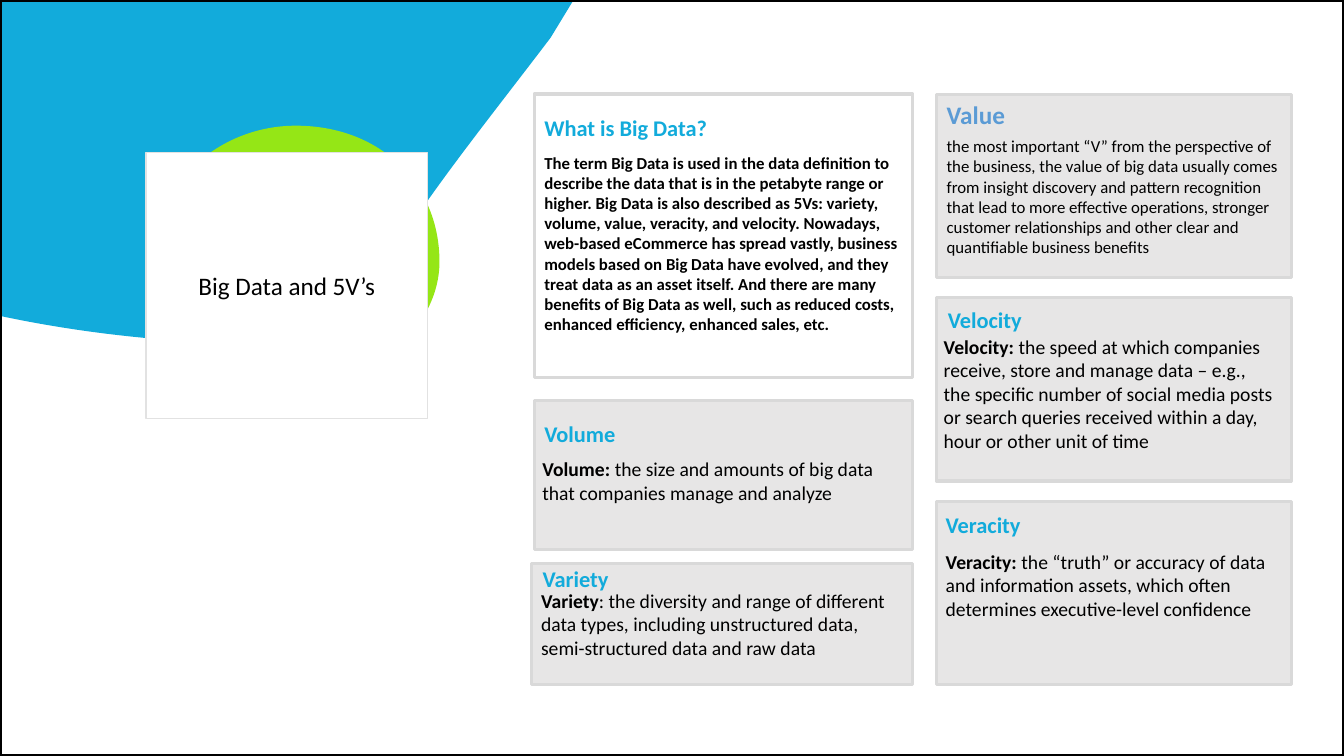
from copy import deepcopy
from dataclasses import dataclass

from lxml import etree
from pptx import Presentation
from pptx.dml.color import RGBColor
from pptx.enum import shapes, text
from pptx.oxml import ns
from pptx.util import Pt


@dataclass(frozen=True)
class Theme:
    font: str = "Calibri"
    blue: str = "12ABDB"
    soft_blue: str = "5B9BD5"
    lime: str = "95E616"
    white: str = "FFFFFF"
    black: str = "000000"
    grey: str = "E7E6E6"
    card_line: str = "D9D9D9"
    circle_line: str = "E2E2E2"
    title: float = 18
    heading: float = 16
    body: float = 14
    small: float = 12


THEME = Theme()


@dataclass(frozen=True)
class Card:
    box: tuple             # left, top, width, height
    heading: str
    heading_place: tuple   # x and y within the card, width
    runs: tuple            # (wording, bold)
    body_place: tuple = None   # x and y within the card, width, height; None: in the panel
    fill: str = THEME.grey
    body_size: float = THEME.body
    heading_size: float = THEME.heading
    heading_color: str = THEME.blue


# Card grid: two columns
LEFT, RIGHT = 381.5, 668.9
WIDE, NARROW = 270.4, 253.4
TOP, RIGHT_HEIGHT, RIGHT_STEP = 67.2, 131, 145.4
LEFT_TEXT, RIGHT_TEXT, RIGHT_HEADING = 253.4, 237.6, 236.2


def right_box(row):
    return RIGHT, TOP + row * RIGHT_STEP, NARROW, RIGHT_HEIGHT


CARDS = (
    Card((LEFT, TOP, WIDE, 202.8), "What is Big Data?", (7.3, 8.7, LEFT_TEXT),
         (("The term Big Data is used in the data definition to describe the data that is in "
           "the petabyte range or higher. Big Data is also described as 5Vs: variety, volume, "
           "value, veracity, and velocity. Nowadays, web-based eCommerce has spread vastly, "
           "business models based on Big Data have evolved, and they treat data as an asset "
           "itself. And there are many benefits of Big Data as well, such as reduced costs, "
           "enhanced efficiency, enhanced sales, etc. ", True),),
         (7.3, 41.8, LEFT_TEXT, 153.4), fill=None, body_size=THEME.small),
    Card((LEFT, 286.2, WIDE, 106.6), "Volume", (7.3, 8.3, LEFT_TEXT),
         (("Volume:\u00a0", True),
          ("the size and amounts of big data that companies manage and analyze", False)),
         (5.9, 40.2, LEFT_TEXT, 133.2)),
    Card((379.4, 402.3, 272.2, 86.6), "Variety", (8.2, -4.1, RIGHT_HEADING),
         (("Variety", True),
          (":\u00a0the diversity and range of different data types, including unstructured "
           "data, semi-structured data and raw data", False))),
    Card(right_box(0), "Value", (7.3, -0.2, RIGHT_HEADING),
         (("the most important “V” from the perspective of the business, the value of big "
           "data usually comes from insight discovery and pattern recognition that lead to "
           "more effective operations, stronger customer relationships and other clear and "
           "quantifiable business benefits", False),),
         (7.3, 30, RIGHT_TEXT, 96.5), body_size=THEME.small,
         heading_size=THEME.title, heading_color=THEME.soft_blue),
    Card(right_box(1), "Velocity", (8.1, 0.5, RIGHT_HEADING),
         (("Velocity:\u00a0", True),
          ("the speed at which companies receive, store and manage data – e.g., the specific "
           "number of social media posts or search queries received within a day, hour or "
           "other unit of time", False)),
         (5.2, 26.4, RIGHT_TEXT, 88.6)),
    Card(right_box(2), "Veracity", (6.6, 2, RIGHT_HEADING),
         (("Veracity:\u00a0", True),
          ("the “truth” or accuracy of data and information assets, which often determines "
           "executive-level confidence", False)),
         (6.6, 34.7, RIGHT_TEXT, 72)),
)

# Rounded outline as fractions of its box; each curve is (control, control, end)
BLOB_START = (0, 0.5)
BLOB_CURVES = (
    ((0, 0.22), (0.23, 0), (0.5, 0)),
    ((0.8, 0), (1, 0.22), (1, 0.5)),
    ((1, 0.77), (0.71, 0.98), (0.5, 1)),
    ((0.2, 1.02), (0, 0.77), (0, 0.5)),
)


def points(box):
    return [Pt(value) for value in box]


def style(shape, fill=None, line=None, width=1):
    if fill:
        shape.fill.solid()
        shape.fill.fore_color.rgb = RGBColor.from_string(fill)
    else:
        shape.fill.background()
    if line:
        shape.line.color.rgb = RGBColor.from_string(line)
        shape.line.width = Pt(width)
    else:
        shape.line.fill.background()


def write(shape, runs, size, color=THEME.black, align=text.PP_ALIGN.LEFT,
          anchor=text.MSO_ANCHOR.TOP, spacing=1.0, margin=0):
    frame = shape.text_frame
    frame.word_wrap = True
    frame.auto_size = text.MSO_AUTO_SIZE.NONE
    frame.vertical_anchor = anchor
    frame.margin_left = frame.margin_right = Pt(margin)
    frame.margin_top = frame.margin_bottom = Pt(margin / 2)
    paragraph = frame.paragraphs[0]
    paragraph.alignment = align
    paragraph.line_spacing = spacing
    for wording, bold in runs:
        run = paragraph.add_run()
        run.text = wording
        run.font.name, run.font.size, run.font.bold = THEME.font, Pt(size), bold
        run.font.color.rgb = RGBColor.from_string(color)


def outline(slide, box, start, segments):
    """Build an outline; a segment of three points becomes one Bezier curve."""
    left, top, width, height = box
    placed = [(Pt(left + x * width), Pt(top + y * height))
              for x, y in (start, *(point for segment in segments for point in segment))]
    builder = slide.shapes.build_freeform(*placed[0], scale=1.0)
    builder.add_line_segments(placed[1:], close=True)
    shape = builder.convert_to_shape()
    shape.shadow.inherit = False
    # Fit to the box, which a control point may overshoot
    shape.left, shape.top, shape.width, shape.height = points(box)
    track = shape.element.find(".//" + ns.qn("a:path"))
    track.set("w", str(shape.width))
    track.set("h", str(shape.height))
    # Join the points of each curve
    lines = iter(track.findall(ns.qn("a:lnTo")))
    for segment in segments:
        parts = [next(lines) for _ in segment]
        if len(parts) == 3:
            bezier = etree.Element(ns.qn("a:cubicBezTo"))
            parts[0].addprevious(bezier)
            for part in parts:
                bezier.append(part[0])
                track.remove(part)
    return shape


def add_swoosh(slide, box):
    swoosh = outline(slide, box, (0.45, 1),
                     (((0.5, 1), (0.56, 1), (0.61, 0.99)),
                      ((0.66, 0.74), (0.81, 0.44), (0.96, 0.11)),
                      ((1, 0),), ((0, 0),), ((0, 0.92),),
                      ((0.14, 0.97), (0.3, 1), (0.45, 1))))
    style(swoosh, fill=THEME.blue)


def add_title_circle(slide, box):
    left, top, width, height = box
    crescent = outline(slide, (left + 4.3, top - 19.2, width + 4.3, height + 4.3),
                       BLOB_START, BLOB_CURVES)
    style(crescent, fill=THEME.lime)
    # The title itself takes the rounded outline
    circle = outline(slide, box, BLOB_START, BLOB_CURVES)
    title = slide.shapes.title
    title.left, title.top, title.width, title.height = points(box)
    geometry = circle.element.spPr.find(ns.qn("a:custGeom"))
    title.element.spPr.append(deepcopy(geometry))
    circle.element.getparent().replace(circle.element, title.element)
    style(title, fill=THEME.white, line=THEME.circle_line)
    write(title, (("Big Data and 5V’s", False),), THEME.title,
          align=text.PP_ALIGN.CENTER, anchor=text.MSO_ANCHOR.MIDDLE)


def add_panel(slide, box, **look):
    panel = slide.shapes.add_shape(shapes.MSO_SHAPE.RECTANGLE, *points(box))
    panel.shadow.inherit = False
    style(panel, width=2.25, **look)
    return panel


def add_card(slide, card):
    left, top, width, height = card.box
    panel = add_panel(slide, card.box, fill=card.fill, line=THEME.card_line)
    # Body
    if card.body_place:
        x, y, *size = card.body_place
        body = slide.shapes.add_textbox(*points((left + x, top + y, *size)))
        write(body, card.runs, card.body_size)
    else:
        write(panel, card.runs, card.body_size, anchor=text.MSO_ANCHOR.MIDDLE, margin=7.2)
    # Heading
    x, y, heading_width = card.heading_place
    heading = slide.shapes.add_textbox(*points((left + x, top + y, heading_width, 32.4)))
    write(heading, ((card.heading, True),), card.heading_size, card.heading_color,
          anchor=text.MSO_ANCHOR.MIDDLE, spacing=0.9)


presentation = Presentation()
presentation.slide_width, presentation.slide_height = Pt(960), Pt(540)
slide = presentation.slides.add_slide(presentation.slide_layouts[5])
add_swoosh(slide, (0, 0, 409.7, 245.3))
add_title_circle(slide, (104.4, 109, 200.9, 190))
for card in CARDS:
    add_card(slide, card)
add_panel(slide, (0, 0, 960, 540), line=THEME.black)   # slide border
presentation.save("out.pptx")
